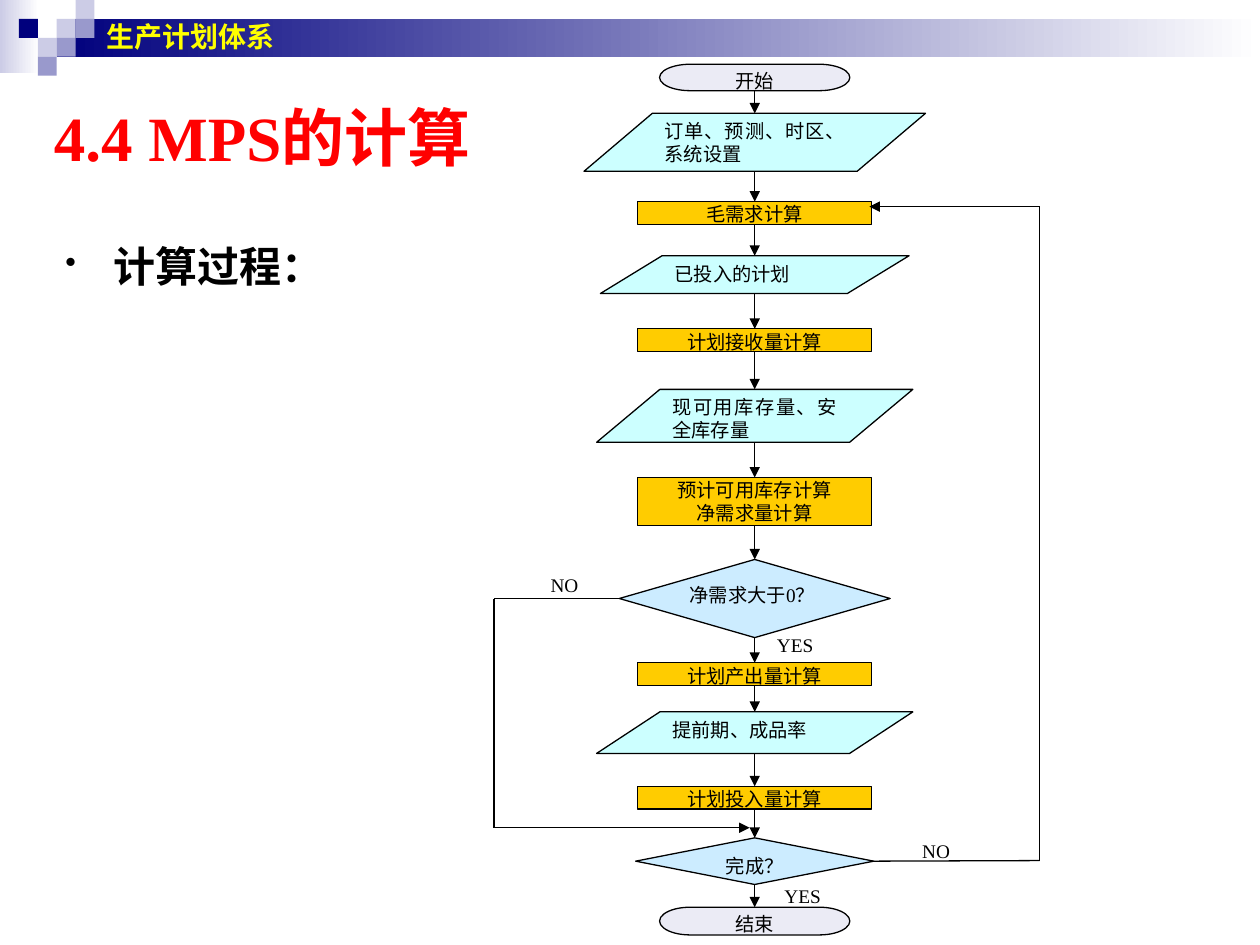
import pptx
import pptx.util
import pptx.dml.color
import pptx.enum.shapes
import pptx.enum.text
import pptx.oxml.ns
from lxml import etree

Inches = pptx.util.Inches
Pt = pptx.util.Pt
qn = pptx.oxml.ns.qn
SHAPE = pptx.enum.shapes.MSO_SHAPE
ALIGN = pptx.enum.text.PP_ALIGN
ANCHOR = pptx.enum.text.MSO_ANCHOR

COLORS = {
    "navy": "00007D", "mid": "9999CC", "pale": "CCCCE6", "white": "FFFFFF",
    "black": "000000", "red": "FF0000", "yellow": "FFFF00",
    "process": "FFCC00", "data": "CCFFFF", "decision": "CCECFF", "terminal": "EBEBF5",
}
KINDS = {
    "process": (SHAPE.RECTANGLE, ALIGN.CENTER, 0.96, (0.02, 0.02)),
    "terminal": (SHAPE.FLOWCHART_TERMINATOR, ALIGN.CENTER, 0.96, (0.02, 0.02)),
    "data": (SHAPE.FLOWCHART_DATA, ALIGN.JUSTIFY, 1.0, (0.1, 0.05)),
    "decision": (SHAPE.FLOWCHART_DECISION, ALIGN.JUSTIFY, 0.96, (0.02, 0.05)),
}
STEPS = [
    ("terminal", 0, 1.51, 0.21, "开始"),
    ("data", 0.39, 2.71, 0.46, "订单、预测、时区、系统设置"),
    ("process", 1.09, 1.86, 0.18, "毛需求计算"),
    ("data", 1.52, 2.45, 0.3, "已投入的计划"),
    ("process", 2.1, 1.86, 0.18, "计划接收量计算"),
    ("data", 2.58, 2.51, 0.42, "现可用库存量、安全库存量"),
    ("process", 3.28, 1.86, 0.38, "预计可用库存计算\n净需求量计算"),
    ("decision", 3.93, 2.15, 0.62, "净需求大于0？"),
    ("process", 4.75, 1.86, 0.18, "计划产出量计算"),
    ("data", 5.14, 2.51, 0.33, "提前期、成品率"),
    ("process", 5.73, 1.86, 0.18, "计划投入量计算"),
    ("decision", 6.14, 1.89, 0.37, "完成？"),
    ("terminal", 6.69, 1.51, 0.22, "结束"),
]
LABELS = [(2.03, 4.51, "YES"), (3.15, 6.14, "NO"), (0.2, 4.03, "NO"), (2.09, 6.5, "YES")]


def rgb(name):
    """Return the named colour."""
    return pptx.dml.color.RGBColor.from_string(COLORS[name])


def write(sp, text, size, font, color="black", bold=False, align=ALIGN.LEFT,
          spacing=1.0, insets=(0.1, 0.05), anchor=ANCHOR.TOP):
    """Fill a shape with uniformly formatted text."""
    tf = sp.text_frame
    tf.text = text
    tf.word_wrap = True
    tf.vertical_anchor = anchor
    tf.margin_left = tf.margin_right = Inches(insets[0])
    tf.margin_top = tf.margin_bottom = Inches(insets[1])
    for p in tf.paragraphs:
        p.alignment = align
        p.line_spacing = spacing
        for r in p.runs:
            r.font.size = Pt(size)
            r.font.name = font
            r.font.bold = bold
            r.font.color.rgb = rgb(color)


def add_text(s, left, top, width, height, text, size, font, **style):
    """Add a text box."""
    sp = s.shapes.add_textbox(Inches(left), Inches(top), Inches(width), Inches(height))
    write(sp, text, size, font, **style)
    return sp


def add_block(s, left, top, width, height, fill, gradient_end=None):
    """Add a borderless solid or gradient rectangle."""
    sp = s.shapes.add_shape(SHAPE.RECTANGLE, Inches(left), Inches(top),
                            Inches(width), Inches(height))
    sp.shadow.inherit = False
    sp.line.fill.background()
    if gradient_end:
        sp.fill.gradient()
        sp.fill.gradient_angle = 0
        for stop, color in zip(sp.fill.gradient_stops, (fill, gradient_end)):
            stop.color.rgb = rgb(color)
    else:
        sp.fill.solid()
        sp.fill.fore_color.rgb = rgb(fill)


def add_line(s, start, end, arrow=False):
    """Add a thin straight connector."""
    cx = s.shapes.add_connector(pptx.enum.shapes.MSO_CONNECTOR.STRAIGHT,
                                *(Inches(v) for v in (*start, *end)))
    cx.line.color.rgb = rgb("black")
    cx.line.width = Pt(0.75)
    if arrow:
        etree.SubElement(cx.line._get_or_add_ln(), qn("a:tailEnd"), type="triangle")
    etree.SubElement(cx._element.spPr, qn("a:effectLst"))
    return cx


def add_route(s, left, top, points, source, site):
    """Add a bent route from a step, ending in an arrow."""
    points = [(left + x, top + y) for x, y in points]
    legs = list(zip(points, points[1:]))
    for i, (start, end) in enumerate(legs):
        cx = add_line(s, start, end, arrow=i == len(legs) - 1)
        if i == 0:
            cx.begin_connect(source, site)


def add_header(s, left, top, width):
    """Draw the banner with its checkered corner."""
    unit = 0.15
    add_block(s, left, top, 0.31, 0.58, "pale", "white")
    add_block(s, left + 3 * unit, top + unit, width - 3 * unit, 2 * unit, "navy", "white")
    for col, row, color in [(3, 1, "pale"), (4, 0, "pale"), (4, 1, "mid"), (2, 2, "pale"),
                            (1, 1, "navy"), (3, 2, "mid"), (2, 3, "mid")]:
        add_block(s, left + col * unit, top + row * unit, unit, unit, color)
    add_text(s, left + 0.75, top, 8.83, 0.58, "生产计划体系", 16, "Arial",
             color="yellow", bold=True, anchor=ANCHOR.MIDDLE)


def add_heading(s, left, top, width):
    """Place the title and the bulleted topic."""
    add_text(s, left, top, width, 0.67, "4.4 MPS的计算", 36, "Times New Roman",
             color="red", bold=True, anchor=ANCHOR.MIDDLE)
    sp = add_text(s, left + 0.09, top + 0.91, width, 5.67, "计算过程：", 24, "Arial",
                  bold=True, spacing=1.5)
    pPr = sp.text_frame.paragraphs[0]._p.get_or_add_pPr()
    pPr.set("marL", str(Inches(0.38)))
    pPr.set("indent", str(-Inches(0.38)))
    clr = etree.SubElement(pPr, qn("a:buClr"))
    etree.SubElement(clr, qn("a:srgbClr"), val=COLORS["black"])
    etree.SubElement(pPr, qn("a:buSzPct"), val="75000")
    etree.SubElement(pPr, qn("a:buChar"), char="•")


def add_step(s, center, top, kind, width, height, text):
    """Add one flowchart step centred on the main axis."""
    preset, align, spacing, insets = KINDS[kind]
    if text == "完成？":
        align, insets = ALIGN.CENTER, (0.1, 0.05)
    sp = s.shapes.add_shape(preset, Inches(center - width / 2), Inches(top),
                            Inches(width), Inches(height))
    sp.shadow.inherit = False
    sp.fill.solid()
    sp.fill.fore_color.rgb = rgb(kind)
    sp.line.color.rgb = rgb("black")
    sp.line.width = Pt(0.75)
    write(sp, text, 11, "Times New Roman", align=align, spacing=spacing, insets=insets)
    return sp


def add_flowchart(s, left, top):
    """Draw the calculation steps, their arrows and both branches."""
    center = left + 2.07
    steps = [add_step(s, center, top + y, kind, w, h, text) for kind, y, w, h, text in STEPS]
    for i, (a, b) in enumerate(zip(STEPS, STEPS[1:])):
        cx = add_line(s, (center, top + a[1] + a[3]), (center, top + b[1]), arrow=True)
        if a[0] != "data":
            cx.begin_connect(steps[i], 2)
        if b[0] != "data":
            cx.end_connect(steps[i + 1], 0)
    add_route(s, left, top, [(1, 4.24), (0, 4.24), (0, 6.06), (2.03, 6.06)], steps[7], 1)
    add_route(s, left, top, [(3.02, 6.32), (4.33, 6.32), (4.33, 1.13), (2.98, 1.13)],
              steps[11], 3)
    for x, y, text in LABELS:
        add_text(s, left + x, top + y, 0.72, 0.18, text, 11, "Times New Roman",
                 align=ALIGN.CENTER, spacing=0.96, insets=(0.02, 0.02))


def main():
    """Build and save the slide."""
    prs = pptx.Presentation()
    prs.slide_width, prs.slide_height = Inches(10), Inches(7.5)
    s = prs.slides.add_slide(prs.slide_layouts[6])
    add_header(s, 0, 0, 10)
    add_heading(s, 0.33, 0.75, 9)
    add_flowchart(s, 3.92, 0.51)
    prs.save("out.pptx")


if __name__ == "__main__":
    main()
